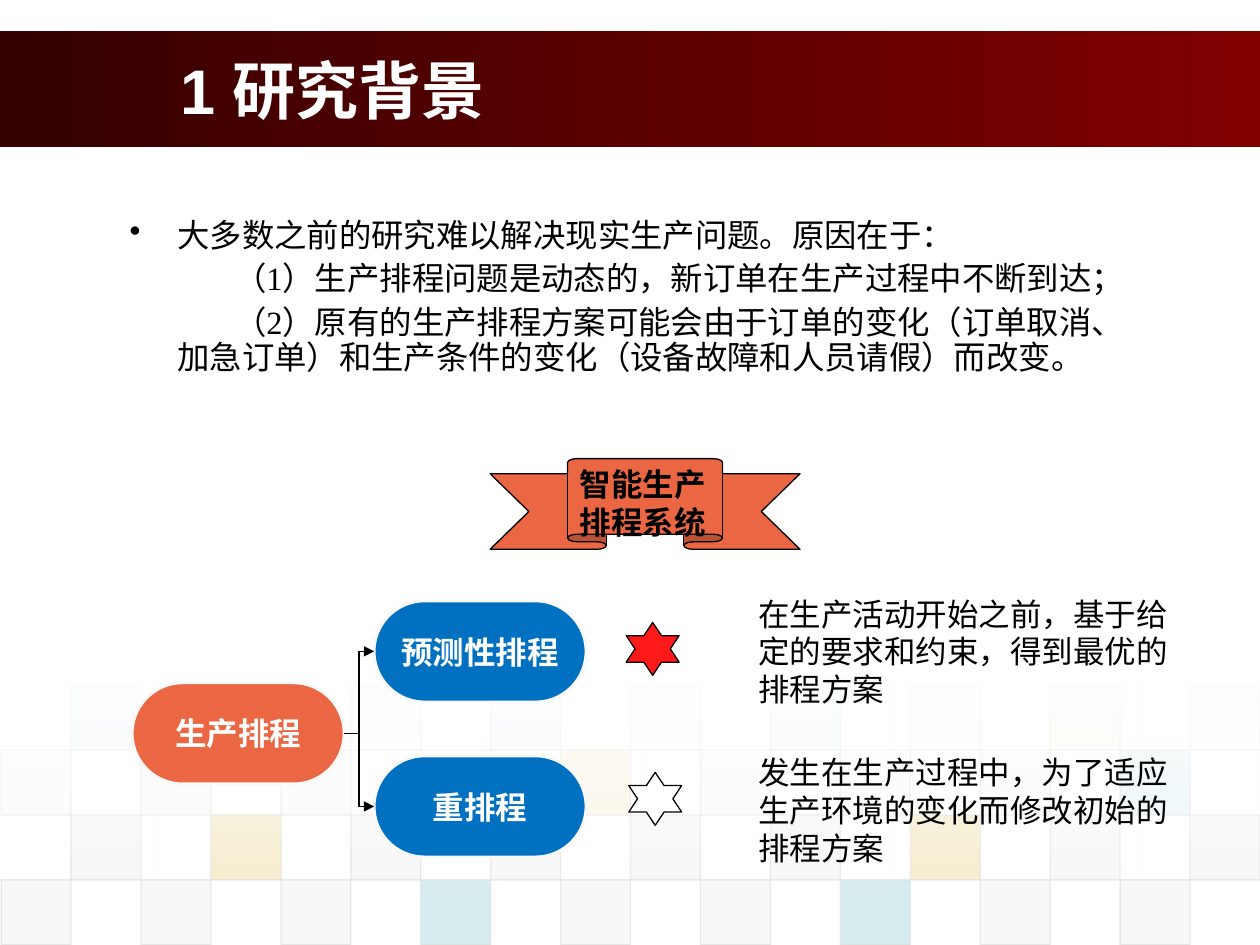
from lxml.etree import SubElement
from pptx import Presentation
from pptx.dml.color import RGBColor
from pptx.enum.shapes import MSO_CONNECTOR as Link, MSO_SHAPE as Shape
from pptx.enum.text import MSO_ANCHOR as Anchor, PP_ALIGN as Align
from pptx.oxml.ns import qn
from pptx.util import Inches, Pt

rgb = RGBColor.from_string
CJK = "Noto Sans CJK SC"

deck = Presentation()
deck.slide_width, deck.slide_height = Inches(10), Inches(7.5)
slide = deck.slides.add_slide(deck.slide_layouts[5])
shapes = slide.shapes


def area(x, y, w, h):
    """Turn percentages of the slide's width and height into lengths."""
    wide, high = deck.slide_width / 100, deck.slide_height / 100
    return int(x * wide), int(y * high), int(w * wide), int(h * high)


def write(frame, lines, size, font, hue="000000", bold=False):
    frame.word_wrap = True
    frame.text = "\n".join(lines)
    for para in frame.paragraphs:
        for run in para.runs:
            run.font.size, run.font.bold = Pt(size), bold
            run.font.name, run.font.color.rgb = font, rgb(hue)
            SubElement(run.font._element, qn("a:ea"), typeface=CJK)


# Header band and the white fade over the tiles: area, stops, angle, opacities
band = ((0, 3.33, 100, 12.27), ("350000", "800000"), 0, (100, 100))
fade = ((0, 71.6, 100, 21.6), ("FFFFFF", "FFFFFF"), 270, (90, 0))

# Checkered tiles: one letter per tile, every other column
hues = {"D": "DDDDDD", "E": "EAEAEA", "G": "D3A911", "T": "38A3B2"}
rows = [("T.ETDTEGE", 5), ("DDDDGDDDT", 10), ("DGDDDDGDD", 20), ("DDDTDDTDD", 20)]
for r, (row, part) in enumerate(rows):
    for c, key in enumerate(row):
        if key == ".":
            continue
        col = 2 * c + (r + 1) % 2
        tile = shapes.add_shape(
            Shape.RECTANGLE, *area(0.1 + 5.55 * col, 72.5 + 6.87 * r, 5.55, 6.87))
        tile.shadow.inherit = False
        tile.fill.solid()
        tile.fill.fore_color.rgb = rgb(hues[key])
        tile.line.color.rgb = rgb("DDDDDD")
        tile.line.width = Pt(0.75)
        for tint, share in zip(tile._element.spPr.iter(qn("a:srgbClr")), (part, 60)):
            SubElement(tint, qn("a:alpha"), val=str(share * 1000))

for place, ends, angle, shares in (band, fade):
    rect = shapes.add_shape(Shape.RECTANGLE, *area(*place))
    rect.shadow.inherit = False
    rect.line.fill.background()
    rect.fill.gradient()
    rect.fill.gradient_angle = angle
    for stop, hue in zip(rect.fill.gradient_stops, ends):
        stop.color.rgb = rgb(hue)
    for tint, share in zip(rect._element.spPr.iter(qn("a:srgbClr")), shares):
        if share < 100:
            SubElement(tint, qn("a:alpha"), val=str(share * 1000))

# Title, brought in front of the band
title = shapes.title
shapes._spTree.append(title._element)
title.left, title.top, title.width, title.height = area(13.3, 3.33, 80.8, 12.27)
write(title.text_frame, ["1 研究背景"], 36, "Arial", "FFFFFF", True)
title.text_frame.vertical_anchor = Anchor.MIDDLE
title.text_frame.paragraphs[0].alignment = Align.LEFT

# Reasons
body = shapes.add_textbox(*area(9.3, 22.53, 80.2, 28.93)).text_frame
write(body, [
    "大多数之前的研究难以解决现实生产问题。原因在于：",
    "（1）生产排程问题是动态的，新订单在生产过程中不断到达；",
    "（2）原有的生产排程方案可能会由于订单的变化（订单取消、加急订单）"
    "和生产条件的变化（设备故障和人员请假）而改变。",
], 18.5, "Times New Roman")
for i, para in enumerate(body.paragraphs):
    para.line_spacing = 0.9
    props = para._p.get_or_add_pPr()
    props.set("marL", str(Inches(0.38)))
    props.set("indent", str(Inches(0.45 if i else -0.38)))
    if i:
        para.space_before = Pt(5)
    else:
        SubElement(props, qn("a:buChar"), char="•")

# Scheduling tree
pills = []
for x, y, hue, text in [
    (10.5, 72.27, "EB6743", "生产排程"),
    (29.7, 63.6, "0070C0", "预测性排程"),
    (29.7, 80, "0070C0", "重排程"),
]:
    pill = shapes.add_shape(Shape.ROUNDED_RECTANGLE, *area(x, y, 16.8, 10.67))
    pill.adjustments[0] = 0.5
    pill.shadow.inherit = False
    pill.fill.solid()
    pill.fill.fore_color.rgb = rgb(hue)
    pill.line.color.rgb = rgb("F8F8F8")
    pill.line.width = Pt(1.5)
    write(pill.text_frame, [text], 18, CJK, "FFFFFF", True)
    pill.text_frame.word_wrap = False
    pill.text_frame.vertical_anchor = Anchor.MIDDLE
    pill.text_frame.paragraphs[0].alignment = Align.CENTER
    pills.append(pill)

root, *kids = pills
for kid in kids:
    link = shapes.add_connector(Link.ELBOW, 0, 0, 0, 0)
    link.begin_connect(root, 3)
    link.end_connect(kid, 1)
    link.line.color.rgb = rgb("000000")
    link.line.width = Pt(0.75)
    SubElement(link.line._get_or_add_ln(), qn("a:tailEnd"), type="triangle")
    SubElement(link._element.spPr, qn("a:effectLst"))

# Stars and the ribbon
for kind, place, hue in [
    (Shape.STAR_6_POINT, (49.7, 65.87, 4.2, 5.6), "FF1A1A"),
    (Shape.STAR_6_POINT, (49.9, 81.73, 4.2, 5.6), "FFFFFF"),
    (Shape.UP_RIBBON, (38.9, 48.53, 24.6, 9.6), "EB6743"),
]:
    mark = shapes.add_shape(kind, *area(*place))
    mark.shadow.inherit = False
    mark.fill.solid()
    mark.fill.fore_color.rgb = rgb(hue)
    mark.line.color.rgb = rgb("000000")
    mark.line.width = Pt(0.75)
    if kind == Shape.UP_RIBBON:
        write(mark.text_frame, ["智能生产排程系统"], 18, "Arial", bold=True)
        mark.text_frame.vertical_anchor = Anchor.TOP
        mark.text_frame.paragraphs[0].alignment = Align.LEFT

# Explanations
for y, text in [
    (62.27, "在生产活动开始之前，基于给定的要求和约束，得到最优的排程方案"),
    (79.07, "发生在生产过程中，为了适应生产环境的变化而修改初始的排程方案"),
]:
    note = shapes.add_textbox(*area(59.2, y, 35, 13.33))
    write(note.text_frame, [text], 18, "Arial")

deck.save("out.pptx")
